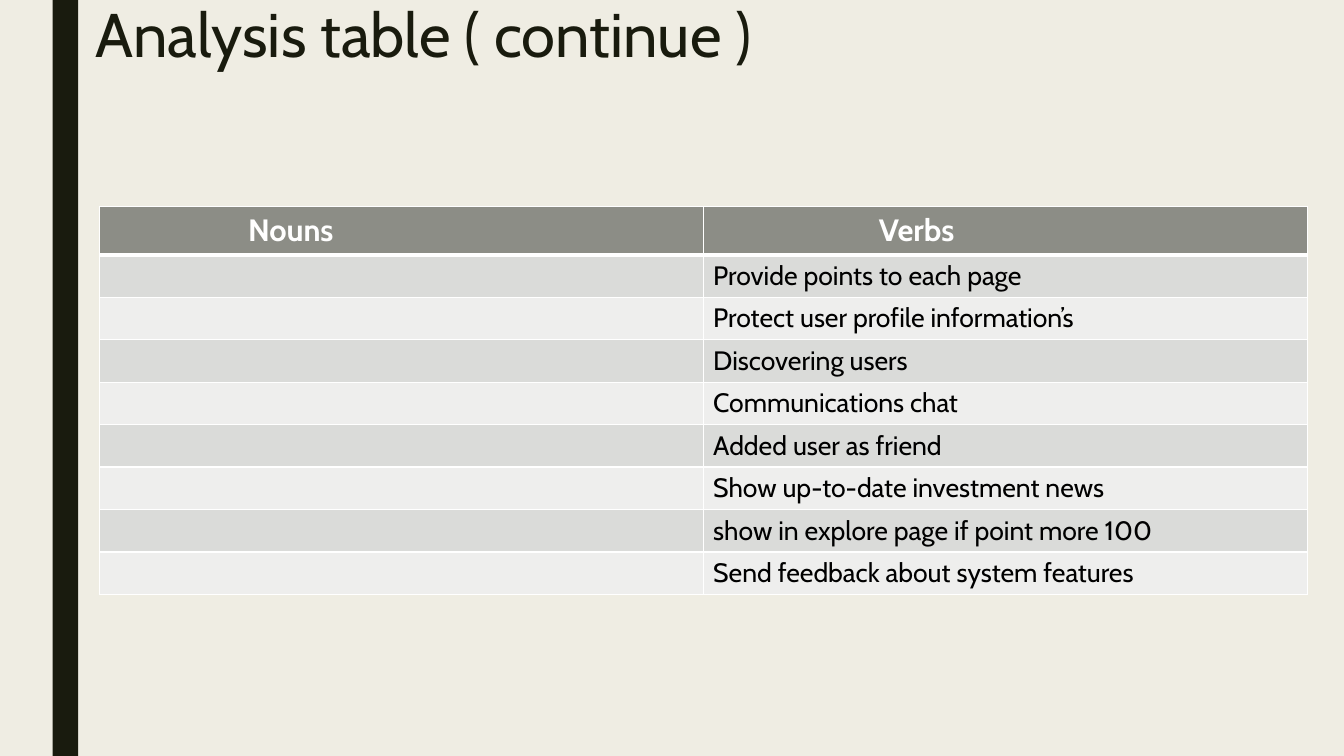
from lxml import etree
from pptx import Presentation
from pptx.dml.color import RGBColor
from pptx.enum.shapes import MSO_SHAPE
from pptx.enum.text import MSO_ANCHOR
from pptx.oxml.ns import qn
from pptx.util import Cm, Pt

RECTANGLE = MSO_SHAPE.RECTANGLE
TOP = MSO_ANCHOR.TOP

FONT = "Cabin"
DARK = "191B0E"
WHITE = "FFFFFF"
HEADER_FILL = "8C8D86"
BAND_FILLS = ("DADBD9", "EEEEED")

# Each heading with the left margin (cm) that sets it in from its column edge
HEADINGS = [("Nouns", 3.75), ("Verbs", 4.43)]
VERBS = [
    "Provide points to each page",
    "Protect user profile information’s",
    "Discovering users",
    "Communications chat",
    "Added user as friend",
    "Show up-to-date investment news",
    "show in explore page if point more 100",
    "Send feedback about system features",
]


def color(hex_string):
    return RGBColor.from_string(hex_string)


def set_font(paragraph, size, hex_string, bold=False):
    font = paragraph.font
    font.name = FONT
    font.size = Pt(size)
    font.bold = bold
    font.color.rgb = color(hex_string)


def set_borders(cell, top, bottom):
    """Draw white borders; top and bottom widths are in points."""
    properties = cell._tc.get_or_add_tcPr()
    for side, width in (("L", 1), ("R", 1), ("T", top), ("B", bottom)):
        line = etree.SubElement(properties, qn(f"a:ln{side}"), w=str(Pt(width)))
        fill = etree.SubElement(line, qn("a:solidFill"))
        etree.SubElement(fill, qn("a:srgbClr"), val=WHITE)


def fill_cell(cell, text, size, text_color, fill, bold=False, top=1, bottom=1):
    set_borders(cell, top, bottom)
    cell.fill.solid()
    cell.fill.fore_color.rgb = color(fill)
    cell.text = text
    set_font(cell.text_frame.paragraphs[0], size, text_color, bold)


def add_side_bar(slide, left, top, width, height):
    bar = slide.shapes.add_shape(RECTANGLE, left, top, width, height)
    bar.shadow.inherit = False
    bar.fill.solid()
    bar.fill.fore_color.rgb = color(DARK)
    bar.line.fill.background()


def add_title(slide, left, top, width, height):
    frame = slide.shapes.add_textbox(left, top, width, height).text_frame
    frame.word_wrap = True
    frame.vertical_anchor = TOP
    paragraph = frame.paragraphs[0]
    paragraph.text = "Analysis table ( continue )"
    paragraph.line_spacing = 0.89
    set_font(paragraph, 44, DARK)


def add_analysis_table(slide, left, top, width, header_height, row_height):
    height = header_height + row_height * len(VERBS)
    table = slide.shapes.add_table(
        len(VERBS) + 1, len(HEADINGS), left, top, width, height).table
    table.rows[0].height = header_height

    # Header row, with a thicker rule below it
    for column, (heading, margin) in enumerate(HEADINGS):
        table.columns[column].width = width // len(HEADINGS)
        cell = table.cell(0, column)
        fill_cell(cell, heading, 22, WHITE, HEADER_FILL, bold=True, bottom=3)
        cell.margin_left = Cm(margin)

    # Banded body rows; the noun column is empty
    for row, verb in enumerate(VERBS, start=1):
        table.rows[row].height = row_height
        for column, text in enumerate(("", verb)):
            fill_cell(table.cell(row, column), text, 19, "000000",
                      BAND_FILLS[(row - 1) % 2], top=3 if row == 1 else 1)


def main():
    presentation = Presentation()
    presentation.slide_width = Cm(33.87)
    presentation.slide_height = Cm(19.05)
    slide = presentation.slides.add_slide(presentation.slide_layouts[6])
    slide.background.fill.solid()
    slide.background.fill.fore_color.rgb = color("EFEDE3")

    add_side_bar(slide, Cm(1.33), 0, Cm(0.64), presentation.slide_height)
    add_title(slide, Cm(2.16), 0, Cm(17.7), Cm(2.06))
    add_analysis_table(slide, Cm(2.5), Cm(5.21), Cm(30.44), Cm(1.21), Cm(1.07))
    presentation.save("out.pptx")


if __name__ == "__main__":
    main()
